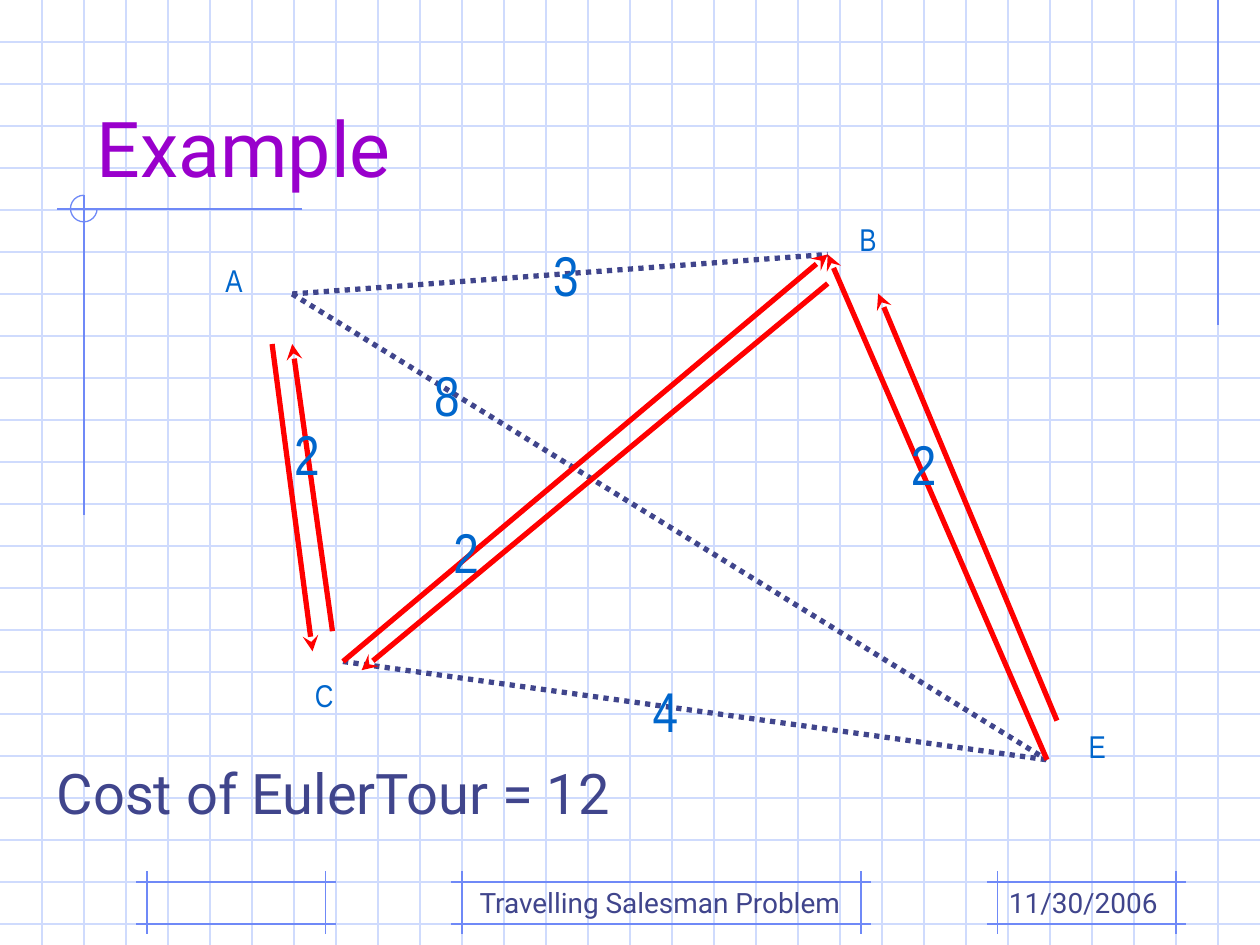
from lxml import etree
from pptx import Presentation
from pptx.dml.color import RGBColor
from pptx.enum import dml, shapes, text
from pptx.oxml import ns
from pptx.util import Pt

GRID = RGBColor(0xCF, 0xDB, 0xFD)
FRAME = RGBColor(0x6F, 0x89, 0xF7)
INK = RGBColor(0x40, 0x45, 0x8C)
PURPLE = RGBColor(0x99, 0x00, 0xCC)
BLUE = RGBColor(0x00, 0x66, 0xCC)
RED = RGBColor(0xFF, 0x00, 0x00)
WIDE, HIGH, STEP = 720, 540, 24


class Sheet:
    sans = "Roboto"
    slim = "Arial Narrow"

    def __init__(self, deck):
        self.slide = deck.slides.add_slide(deck.slide_layouts[1])
        self.shapes = self.slide.shapes

    def line(self, start, end, color, width=0.75, dots=False, arrow=False):
        link = self.shapes.add_connector(
            shapes.MSO_CONNECTOR.STRAIGHT, *map(Pt, start + end))
        link.line.color.rgb = color
        link.line.width = Pt(width)
        if dots:
            link.line.dash_style = dml.MSO_LINE.ROUND_DOT
        props = link.element.spPr
        if arrow:
            tail = etree.SubElement(props.find(ns.qn("a:ln")), ns.qn("a:tailEnd"))
            tail.set("type", "stealth")
        etree.SubElement(props, ns.qn("a:effectLst"))

    def edge(self, start, end):
        self.line(start, end, INK, 3, dots=True)

    def arrow(self, start, end):
        self.line(start, end, RED, 3, arrow=True)

    def frame(self, left, right, top=504, low=528, over=6):
        for y in (top, low):
            self.line((left - over, y), (right + over, y), FRAME)
        for x in (left, right):
            self.line((x, top - over), (x, low + over), FRAME)

    def arc(self, left, top, size):
        ring = self.shapes.add_shape(
            shapes.MSO_SHAPE.ARC, Pt(left), Pt(top), Pt(size), Pt(size))
        ring.adjustments[0] = 0
        ring.adjustments[1] = 162
        ring.shadow.inherit = False
        ring.fill.background()
        ring.line.color.rgb = FRAME
        ring.line.width = Pt(0.75)

    def style(self, box, words, size, font, color):
        box.text_frame.text = words
        para = box.text_frame.paragraphs[0]
        para.alignment = text.PP_ALIGN.LEFT
        para.space_before = Pt(0)
        face = para.runs[0].font
        face.size, face.name = Pt(size), font
        face.color.rgb = color
        return para

    def label(self, words, place, size, font, color, wrap=False):
        box = self.shapes.add_textbox(*map(Pt, place))
        box.text_frame.word_wrap = wrap
        self.style(box, words, size, font, color)

    def holder(self, index, words, place, size, color, anchor):
        box = self.slide.placeholders[index]
        self.shapes.element.append(box.element)
        box.left, box.top, box.width, box.height = map(Pt, place)
        frame = box.text_frame
        frame.auto_size = text.MSO_AUTO_SIZE.NONE
        frame.vertical_anchor = anchor
        para = self.style(box, words, size, self.sans, color)
        return para

    def title(self, words, place):
        self.holder(0, words, place, 44, PURPLE, text.MSO_ANCHOR.BOTTOM)

    def body(self, words, place):
        para = self.holder(1, words, place, 32, INK, text.MSO_ANCHOR.TOP)
        para.line_spacing = 0.9
        props = para._p.get_or_add_pPr()
        props.set("marL", "0")
        props.set("indent", "0")
        etree.SubElement(props, ns.qn("a:buNone"))


def main():
    deck = Presentation()
    deck.slide_width, deck.slide_height = Pt(WIDE), Pt(HIGH)
    sheet = Sheet(deck)

    for y in range(STEP, HIGH, STEP):
        sheet.line((0, y), (WIDE, y), GRID)
    for x in range(STEP, WIDE, STEP):
        sheet.line((x, 0), (x, HIGH), GRID)
    for left, right in ((264, 492), (570, 672), (84, 186)):
        sheet.frame(left, right)
    sheet.line((696, 0), (696, 186), FRAME)
    sheet.line((172.8, 119.4), (32.4, 119.4), FRAME)
    sheet.line((48, 111.6), (48, 294.5), FRAME)
    sheet.arc(40.3, 111.6, 15.2)

    sheet.label("Travelling Salesman Problem", (267, 502.5, 257, 26.6),
                16, sheet.sans, INK, True)
    sheet.label("11/30/2006", (569.5, 502.5, 102.5, 26.6),
                16, sheet.sans, INK, True)
    sheet.title("Example", (48, 24, 612, 90))

    a, b, c, e = (167, 168), (473, 145.4), (196, 378), (598.3, 434.2)
    for start, end in ((a, b), (c, e), (a, e)):
        sheet.edge(start, end)
    for start, end in ((c, b), ((190, 360.7), (167, 196.6)), (e, b)):
        sheet.arrow(start, end)

    for name, x, y in (("A", 121.7, 145.4), ("B", 484, 122.4),
                       ("C", 172.8, 383), ("E", 615, 411.8)):
        sheet.label(name, (x, y, 35, 45), 18, sheet.slim, BLUE)
    for cost, x, y in (("3", 309, 134), ("2", 161, 236), ("2", 513.4, 242),
                       ("2", 252, 292.3), ("8", 241, 202.3), ("4", 365.8, 383)):
        sheet.label(cost, (x, y, 17, 39.6), 32, sheet.slim, BLUE)

    sheet.body("Cost of EulerTour = 12", (25.2, 434.2, 465, 45.4))
    for start, end in (((604, 411.8), (501.8, 167.8)),
                       ((473, 162), (206.6, 383)),
                       ((155.5, 196.6), (178.6, 372.2))):
        sheet.arrow(start, end)

    deck.save("out.pptx")


if __name__ == "__main__":
    main()
